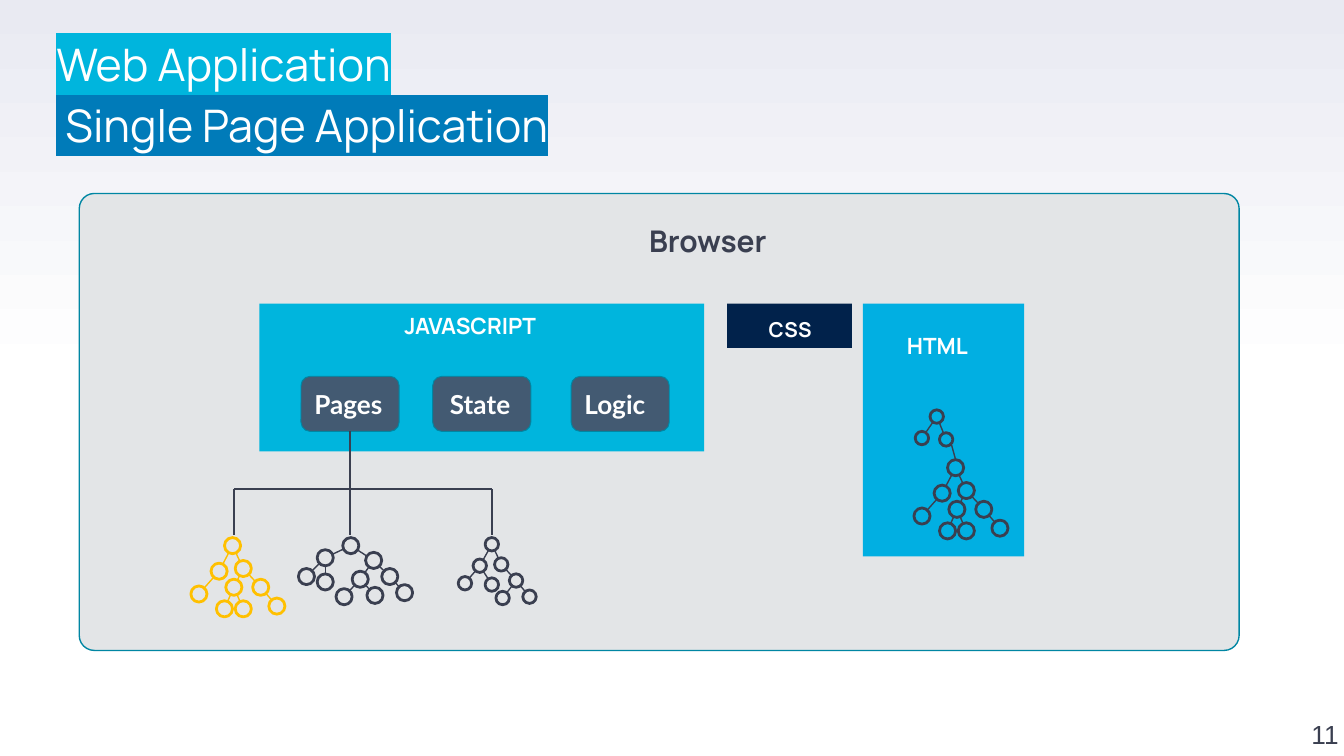
from math import hypot

from pptx import Presentation
from pptx.dml.color import RGBColor
from pptx.enum import shapes, text
from pptx.oxml.ns import qn
from pptx.util import Inches, Pt
from lxml import etree

COLORS = {
    "ink": "3A3F50", "white": "FFFFFF", "haze": "E9EAF2", "panel": "E3E5E7",
    "teal": "0086A3", "cyan": "00B5DD", "sky": "01AFE2", "blue": "007BB9",
    "navy": "01224B", "slate": "435A72", "amber": "FFC000",
}

# Tree nodes: offset from the root and index of the parent node.
WIDE_TREE = [(0, 0, None), (-0.1, 0.19, 0), (0.08, 0.17, 0), (-0.25, 0.36, 1),
             (0.01, 0.31, 2), (0.21, 0.31, 2), (0.33, 0.45, 5),
             (-0.06, 0.47, 4), (0.08, 0.47, 4)]
BROAD_TREE = [(0, 0, None), (-0.19, 0.09, 0), (0.17, 0.11, 0), (-0.33, 0.23, 1),
              (-0.19, 0.27, 1), (0.07, 0.25, 2), (0.29, 0.23, 2),
              (0.4, 0.35, 6), (-0.05, 0.38, 5), (0.18, 0.37, 5)]
NARROW_TREE = [(0, 0, None), (-0.09, 0.16, 0), (0.07, 0.15, 0), (-0.2, 0.29, 1),
               (0, 0.3, 1), (0.18, 0.27, 2), (0.28, 0.39, 5), (0.08, 0.4, 5)]
SMALL_TREE = [(0, 0, None), (-0.11, 0.16, 0), (0.07, 0.17, 0)]


def rgb(name):
    return RGBColor.from_string(COLORS[name])


class Sketch:
    def __init__(self, page):
        self.page = page

    def background(self):
        fill = self.page.background.fill
        fill.gradient()
        fill.gradient_angle = 90
        for stop, position, color in zip(fill.gradient_stops, (0.5, 1), ("white", "haze")):
            stop.position = position
            stop.color.rgb = rgb(color)

    def shape(self, kind, left, top, width, height, fill=None, line=None, weight=0.5):
        shape = self.page.shapes.add_shape(
            kind, Inches(left), Inches(top), Inches(width), Inches(height))
        shape.shadow.inherit = False
        if fill:
            shape.fill.solid()
            shape.fill.fore_color.rgb = rgb(fill)
        else:
            shape.fill.background()
        if line:
            shape.line.color.rgb = rgb(line)
            shape.line.width = Pt(weight)
        else:
            shape.line.fill.background()
        return shape

    def line(self, start, end, color="ink"):
        line = self.page.shapes.add_connector(
            shapes.MSO_CONNECTOR.STRAIGHT, *map(Inches, (*start, *end)))
        line.line.color.rgb = rgb(color)
        line.line.width = Pt(0.75)
        etree.SubElement(line._element.spPr, qn("a:effectLst"))
        return line

    def text(self, lines, left, top, width, height, size, font="Manrope", color="white",
             bold=False, inset=True, spacing=None, highlights=()):
        box = self.page.shapes.add_textbox(
            Inches(left), Inches(top), Inches(width), Inches(height))
        frame = box.text_frame
        frame.word_wrap = True
        if inset:
            frame.auto_size = text.MSO_AUTO_SIZE.SHAPE_TO_FIT_TEXT
        else:
            frame.margin_left = frame.margin_right = 0
            frame.margin_top = frame.margin_bottom = 0
        frame.text = lines
        for para in frame.paragraphs:
            if spacing:
                para.line_spacing = spacing
            para.font.name = font
            para.font.size = Pt(size)
            para.font.bold = bold
            para.font.color.rgb = rgb(color)
        for para, mark in zip(frame.paragraphs, highlights):
            span = etree.SubElement(para.runs[0].font._element, qn("a:highlight"))
            etree.SubElement(span, qn("a:srgbClr"), val=COLORS[mark])
        return frame

    def tree(self, nodes, left, top, size, color="ink"):
        """Draw a tree whose root circle has its corner at left, top."""
        radius = size / 2
        centers = [(left + dx + radius, top + dy + radius) for dx, dy, _ in nodes]
        for (x, y), (_, _, parent) in zip(centers, nodes):
            self.shape(shapes.MSO_SHAPE.OVAL, x - radius, y - radius, size, size,
                       line=color, weight=1.5)
            if parent is not None:
                px, py = centers[parent]
                trim = radius / hypot(x - px, y - py)
                dx, dy = (x - px) * trim, (y - py) * trim
                self.line((px + dx, py + dy), (x - dx, y - dy), color)


def main():
    deck = Presentation()
    deck.slide_width = Inches(10)
    deck.slide_height = deck.slide_width * 9 // 16
    sketch = Sketch(deck.slides.add_slide(deck.slide_layouts[6]))
    sketch.background()
    rect = shapes.MSO_SHAPE.RECTANGLE
    rounded = shapes.MSO_SHAPE.ROUNDED_RECTANGLE

    number = sketch.text("11", 9.46, 5.07, 0.5, 0.51, 14, "Arial", "ink", inset=False)
    number.vertical_anchor = text.MSO_ANCHOR.BOTTOM
    number.paragraphs[0].alignment = text.PP_ALIGN.RIGHT
    sketch.text("Web Application\n Single Page Application", 0.42, 0.21, 5.69, 0.98, 24,
                inset=False, spacing=1.15, highlights=("cyan", "blue"))

    browser = sketch.shape(rounded, 0.59, 1.44, 8.63, 3.4, "panel", "teal", 0.75)
    browser.adjustments[0] = 0.033
    sketch.text("Browser", 4.83, 1.63, 1.05, 0.29, 16, color="ink", bold=True,
                inset=False, spacing=1.1)

    sketch.shape(rect, 6.42, 2.26, 1.2, 1.88, "sky")
    sketch.shape(rect, 1.93, 2.26, 3.31, 1.1, "cyan")
    sketch.shape(rect, 5.41, 2.26, 0.93, 0.33, "navy")
    for label, left, top, width, size in (("JAVASCRIPT", 2.91, 2.27, 1.37, 12),
                                          ("CSS", 5.62, 2.31, 0.63, 11),
                                          ("HTML", 6.65, 2.42, 0.68, 12)):
        sketch.text(label, left, top, width, 0.3, size, bold=True)

    parts = {}
    for label, left, text_left in (("Pages", 2.24, 2.24), ("State", 3.22, 3.25),
                                   ("Logic", 4.25, 4.25)):
        parts[label] = sketch.shape(rounded, left, 2.8, 0.73, 0.41, "slate", "teal")
        sketch.text(label, text_left, 2.84, 0.73, 0.34, 14, "Lato", bold=True)

    # The trunk runs down from the middle of the Pages box.
    pages = parts["Pages"]
    trunk, fork = (pages.left + pages.width / 2) / Inches(1), 3.64
    sketch.line((trunk, 3.21), (trunk, fork)).begin_connect(pages, 2)
    sketch.line((3.66, fork), (1.74, fork))
    for branch in (1.74, trunk, 3.66):
        sketch.line((branch, fork), (branch, 3.98))

    sketch.tree(WIDE_TREE, 1.67, 4, 0.12, "amber")
    sketch.tree(BROAD_TREE, 2.55, 4, 0.12)
    sketch.tree(NARROW_TREE, 3.61, 4, 0.1)
    sketch.tree(SMALL_TREE, 6.92, 3.05, 0.1)
    sketch.tree(WIDE_TREE, 7.05, 3.42, 0.12)
    sketch.line((7.08, 3.31), (7.11, 3.42))

    deck.save("out.pptx")


if __name__ == "__main__":
    main()
